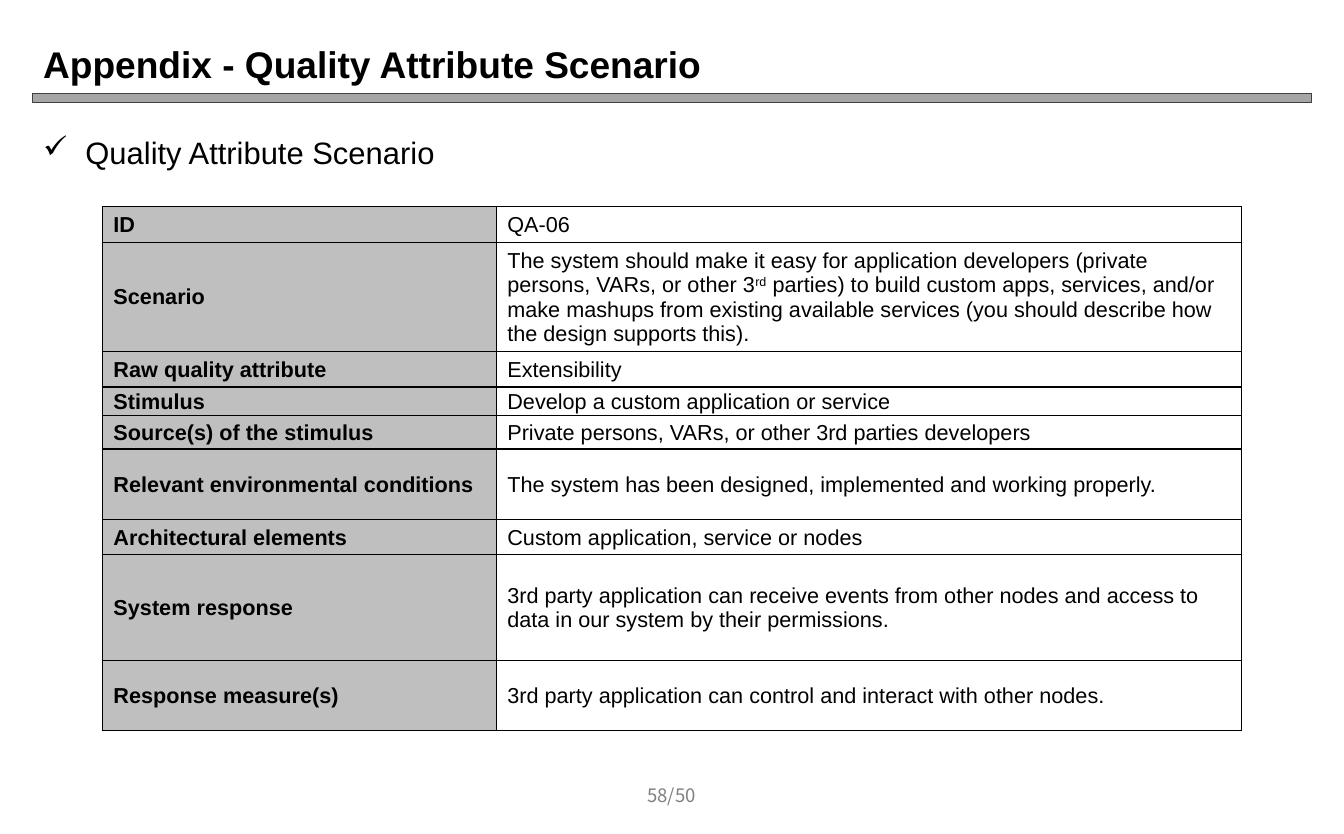
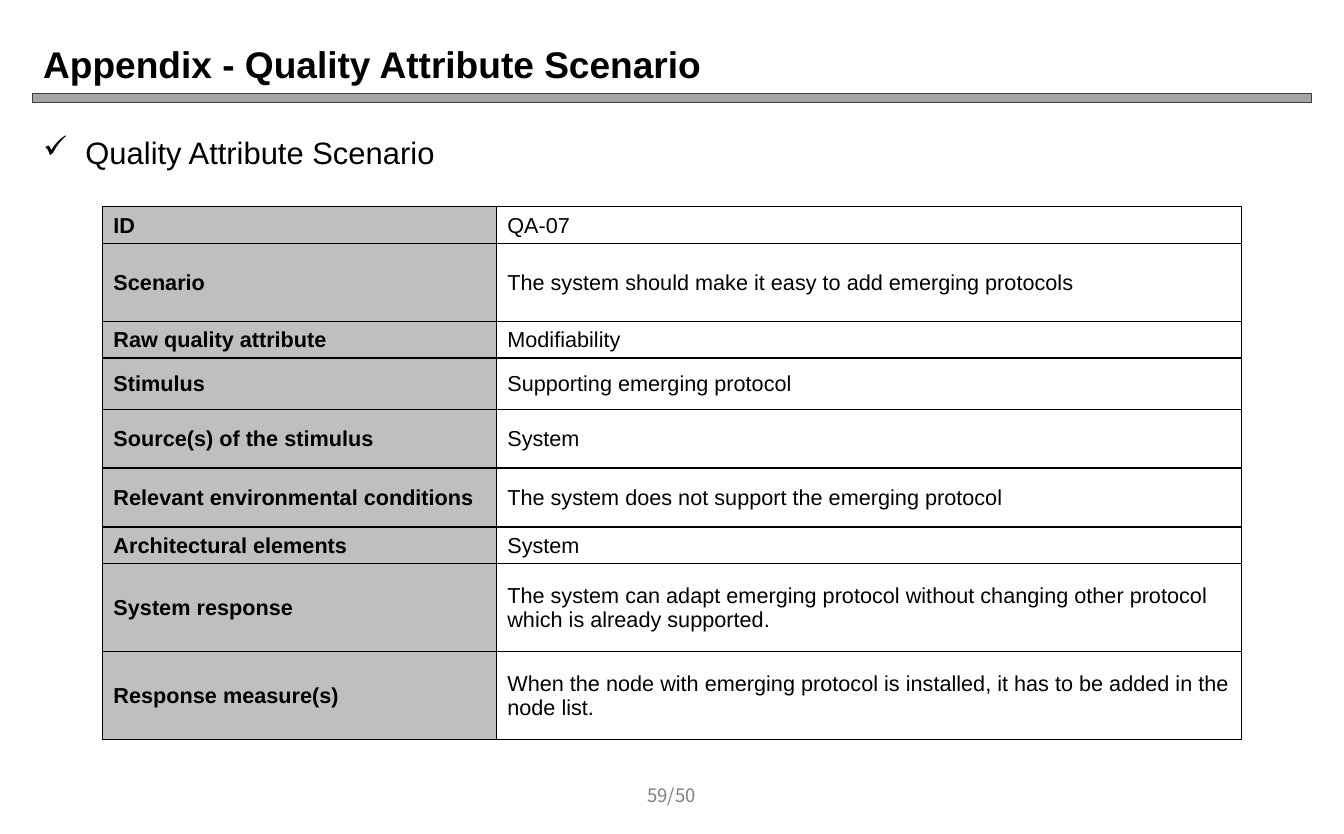
from lxml.etree import SubElement
from pptx import Presentation
from pptx.dml.color import RGBColor
from pptx.enum.shapes import MSO_SHAPE
from pptx.enum.text import MSO_ANCHOR, PP_ALIGN
from pptx.oxml.ns import qn
from pptx.util import Pt

# Scale: 100 px to the inch
PX = 9144
SLIDE_SIZE = (1208, 750)

BLACK = RGBColor(0x00, 0x00, 0x00)
FOOTER_GRAY = RGBColor(0x80, 0x80, 0x80)
LABEL_GRAY = RGBColor(0xBF, 0xBF, 0xBF)
BAR_GRAY = RGBColor(0xA6, 0xA6, 0xA6)
BAR_EDGE = RGBColor(0x40, 0x40, 0x40)

TITLE_FORMAT = {"name": "Arial", "size": Pt(24), "bold": True}
HEADING_FORMAT = {"name": "Arial", "size": Pt(20)}
CELL_FORMAT = {"name": "Arial", "size": Pt(14)}
FOOTER_FORMAT = {"name": "Noto Sans CJK KR", "size": Pt(12)}

# Shared content and places: left, top, width, height
TITLE = "Appendix - Quality Attribute Scenario"
HEADING = "Quality Attribute Scenario"
PAGE_TOTAL = 50
TITLE_BOX = (29, 30, 1150, 54)
BAR_BOX = (29, 84, 1150, 8)
HEADING_BOX = (29, 115, 1150, 567)
FOOTER_BOX = (549, 695, 109, 40)
HEADING_INDENT = 38
TABLE_LEFT, TABLE_TOP = 92, 186
COLUMN_WIDTHS = (354, 670)
CELL_MARGINS = {"margin_left": 10, "margin_top": 1, "margin_right": 10, "margin_bottom": 0}

LABELS = [
    "ID", "Scenario", "Raw quality attribute", "Stimulus", "Source(s) of the stimulus",
    "Relevant environmental conditions", "Architectural elements", "System response",
    "Response measure(s)",
]

# One entry per slide; a tuple holds spans, the odd ones raised
SCENARIOS = [
    {
        "page": 58,
        "heights": (32, 98, 32, 26, 30, 63, 32, 95, 63),
        "values": [
            "QA-06",
            ("The system should make it easy for application developers (private persons, "
             "VARs, or other 3", "rd",
             " parties) to build custom apps, services, and/or make mashups from existing "
             "available services (you should describe how the design supports this)."),
            "Extensibility",
            "Develop a custom application or service",
            "Private persons, VARs, or other 3rd parties developers",
            "The system has been designed, implemented and working properly.",
            "Custom application, service or nodes",
            "3rd party application can receive events from other nodes and access to data "
            "in our system by their permissions.",
            "3rd party application can control and interact with other nodes.",
        ],
    },
    {
        "page": 59,
        "heights": (33, 70, 33, 46, 53, 53, 33, 79, 79),
        "values": [
            "QA-07",
            "The system should make it easy to add emerging protocols",
            "Modifiability",
            "Supporting emerging protocol",
            "System",
            "The system does not support the emerging protocol",
            "System",
            "The system can adapt emerging protocol without changing other protocol which "
            "is already supported.",
            "When the node with emerging protocol is installed, it has to be added in the "
            "node list.",
        ],
    },
]


def scaled(lengths):
    return [length * PX for length in lengths]


def set_all(target, values):
    for name, value in values.items():
        setattr(target, name, value)


def add_span(para, text, font_format, color=BLACK):
    span = para.add_run()
    span.text = text
    set_all(span.font, font_format)
    span.font.color.rgb = color
    return span


def add_text(page, place, text, font_format, color=BLACK, anchor=MSO_ANCHOR.MIDDLE):
    frame = page.shapes.add_textbox(*scaled(place)).text_frame
    set_all(frame, {"word_wrap": True, "vertical_anchor": anchor})
    para = frame.paragraphs[0]
    add_span(para, text, font_format, color)
    return para


def add_bar(page):
    bar = page.shapes.add_shape(MSO_SHAPE.FLOWCHART_PROCESS, *scaled(BAR_BOX))
    bar.shadow.inherit = False
    bar.fill.solid()
    bar.fill.fore_color.rgb = BAR_GRAY
    bar.line.color.rgb = BAR_EDGE
    bar.line.width = Pt(0.75)


def add_check_bullet(para):
    properties = para._p.get_or_add_pPr()
    properties.set("marL", str(HEADING_INDENT * PX))
    properties.set("indent", str(-HEADING_INDENT * PX))
    para.space_before = Pt(4)
    SubElement(properties, qn("a:buChar"), char="✓")


def add_borders(cell):
    properties = cell._tc.get_or_add_tcPr()
    for side in ("lnL", "lnR", "lnT", "lnB"):
        edge = SubElement(properties, qn("a:" + side), w=str(Pt(1)))
        fill = SubElement(edge, qn("a:solidFill"))
        SubElement(fill, qn("a:srgbClr"), val=str(BLACK))


def fill_cell(cell, content, is_label):
    set_all(cell, {name: margin * PX for name, margin in CELL_MARGINS.items()})
    cell.vertical_anchor = MSO_ANCHOR.MIDDLE
    add_borders(cell)
    if is_label:
        cell.fill.solid()
        cell.fill.fore_color.rgb = LABEL_GRAY
    else:
        cell.fill.background()
    spans = (content,) if isinstance(content, str) else content
    for index, text in enumerate(spans):
        span = add_span(cell.text_frame.paragraphs[0], text, {**CELL_FORMAT, "bold": is_label})
        if index % 2:
            span.font._element.set("baseline", "30000")


def add_scenario_table(page, heights, values):
    place = (TABLE_LEFT, TABLE_TOP, sum(COLUMN_WIDTHS), sum(heights))
    table = page.shapes.add_table(len(LABELS), len(COLUMN_WIDTHS), *scaled(place)).table
    set_all(table, {"first_row": False, "horz_banding": False})
    for column, width in zip(table.columns, scaled(COLUMN_WIDTHS)):
        column.width = width
    for row, height, label, value in zip(table.rows, scaled(heights), LABELS, values):
        row.height = height
        fill_cell(row.cells[0], label, True)
        fill_cell(row.cells[1], value, False)


def add_page(deck, scenario):
    page = deck.slides.add_slide(deck.slide_layouts[6])
    # Frame shared by all pages
    add_bar(page)
    add_text(page, TITLE_BOX, TITLE, TITLE_FORMAT)
    heading = add_text(page, HEADING_BOX, HEADING, HEADING_FORMAT, anchor=MSO_ANCHOR.TOP)
    add_check_bullet(heading)
    footer = add_text(page, FOOTER_BOX, f"{scenario['page']}/{PAGE_TOTAL}",
                      FOOTER_FORMAT, FOOTER_GRAY)
    footer.alignment = PP_ALIGN.CENTER
    # Scenario of this page
    add_scenario_table(page, scenario["heights"], scenario["values"])


def main():
    deck = Presentation()
    deck.slide_width, deck.slide_height = scaled(SLIDE_SIZE)
    for scenario in SCENARIOS:
        add_page(deck, scenario)
    deck.save("out.pptx")


if __name__ == "__main__":
    main()
